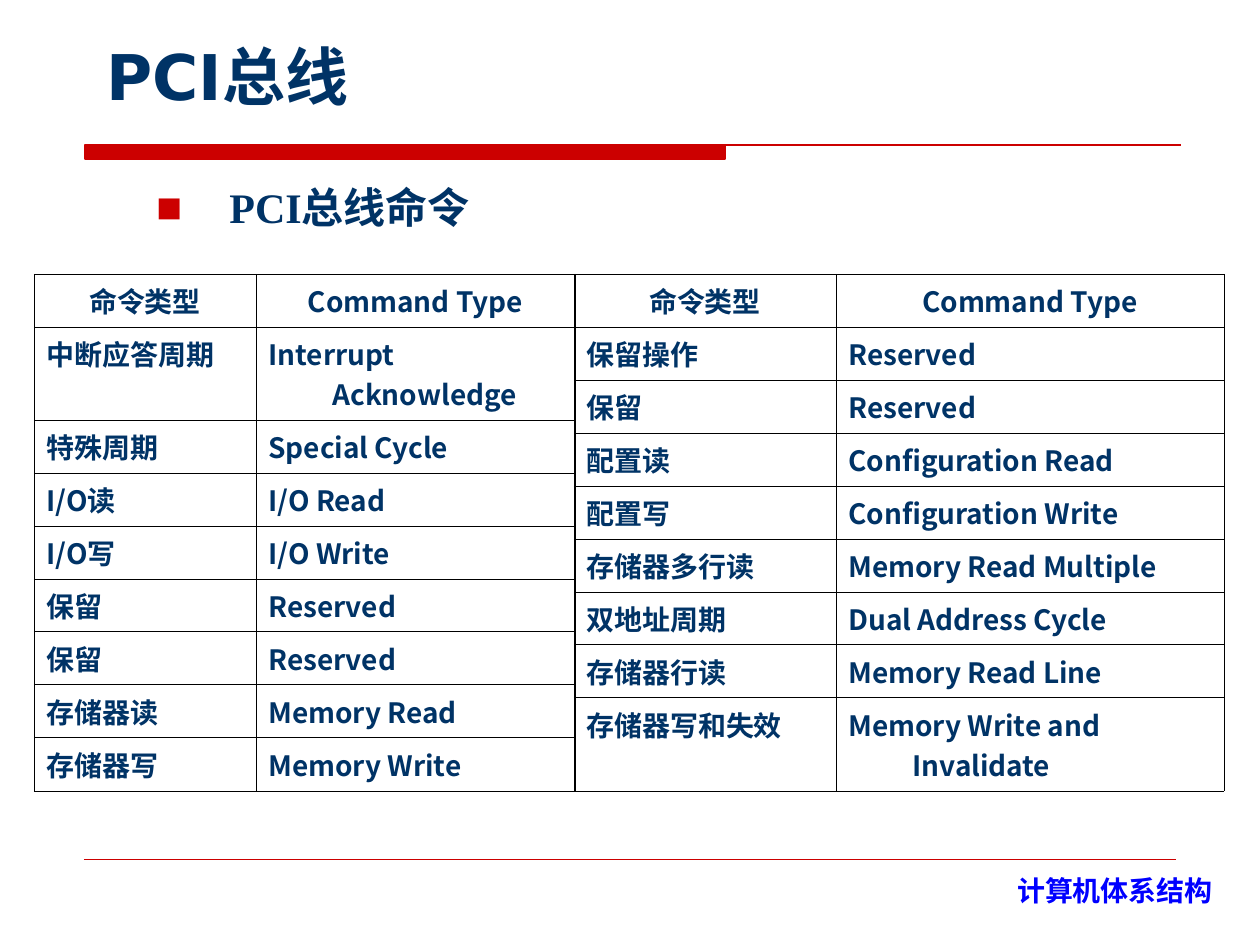
"""Build the slide on PCI bus commands, with two command tables side by side."""
from lxml.etree import SubElement as sub
from pptx import Presentation
from pptx.dml.color import RGBColor
from pptx.enum.shapes import MSO_CONNECTOR as CONNECTOR
from pptx.enum.text import MSO_ANCHOR as ANCHOR, PP_ALIGN as ALIGN
from pptx.oxml.ns import qn
from pptx.util import Pt

PX = 914400 / 126
NAVY, RED, BLUE, BLACK = "003366", "CC0000", "0000FF", "000000"
CJK, SANS, SERIF = "Noto Sans CJK SC", "DejaVu Sans", "Times New Roman"
color = RGBColor.from_string


def emu(*lengths):
    return [round(length * PX) for length in lengths]


def add_span(para, text, size, face, ink=NAVY):
    span = para.add_run()
    span.text = text
    span.font.size = Pt(size)
    span.font.bold = True
    span.font.name = face
    span.font.color.rgb = color(ink)
    sub(span.font._element, qn("a:ea"), typeface=CJK)


deck = Presentation()
deck.slide_width, deck.slide_height = emu(1260, 945)
page = deck.slides.add_slide(deck.slide_layouts[6])

builder = page.shapes.build_freeform(85, 145, scale=PX)
builder.add_line_segments([(725, 145), (725, 159), (85, 159)], close=True)
builder.move_to(85, 145)
builder.add_line_segments([(1181, 145)], close=False)
title_rule = builder.convert_to_shape()
title_rule.shadow.inherit = False
title_rule.fill.solid()
title_rule.fill.fore_color.rgb = color(RED)
title_rule.line.color.rgb = color(RED)
title_rule.line.width = Pt(0.75)

footer_rule = page.shapes.add_connector(CONNECTOR.STRAIGHT, *emu(84, 859, 1176, 859))
footer_rule.line.color.rgb = color(RED)
footer_rule.line.width = Pt(0.25)
sub(footer_rule._element.spPr, qn("a:effectLst"))

texts = [
    ((916, 868, 309, 54), ANCHOR.TOP, ALIGN.RIGHT, [("计算机体系结构", 16, CJK, BLUE)]),
    ((94, 176, 1091, 658), ANCHOR.TOP, ALIGN.LEFT,
     [("PCI总线", 24, SERIF), ("命令", 24, SANS)]),
    ((94, 26, 968, 93), ANCHOR.BOTTOM, ALIGN.LEFT, [("PCI总线", 36, SANS)]),
]
paras = []
for place, anchor, align, spans in texts:
    frame = page.shapes.add_textbox(*emu(*place)).text_frame
    frame.word_wrap = True
    frame.vertical_anchor = anchor
    frame.margin_top, frame.margin_bottom = emu(6, 6)
    para = frame.paragraphs[0]
    para.alignment = align
    for span in spans:
        add_span(para, *span)
    paras.append(para)

margin, indent = emu(123, -73)
props = paras[1]._p.get_or_add_pPr()
props.set("marL", str(margin))
props.set("indent", str(indent))
sub(sub(props, qn("a:buClr")), qn("a:srgbClr"), val=RED)
sub(props, qn("a:buSzPct"), val="65000")
sub(props, qn("a:buFont"), typeface=SANS)
sub(props, qn("a:buChar"), char="■")

header = ("命令类型", "Command Type")
tables = [
    (34, (222, 319), 1, [
        header,
        ("中断应答周期", "Interrupt Acknowledge"),
        ("特殊周期", "Special Cycle"),
        ("I/O读", "I/O Read"),
        ("I/O写", "I/O Write"),
        ("保留", "Reserved"),
        ("保留", "Reserved"),
        ("存储器读", "Memory Read"),
        ("存储器写", "Memory Write"),
    ]),
    (574, (262, 388), 8, [
        header,
        ("保留操作", "Reserved"),
        ("保留", "Reserved"),
        ("配置读", "Configuration Read"),
        ("配置写", "Configuration Write"),
        ("存储器多行读", "Memory Read Multiple"),
        ("双地址周期", "Dual Address Cycle"),
        ("存储器行读", "Memory Read Line"),
        ("存储器写和失效", "Memory Write and Invalidate"),
    ]),
]
hanging = emu(64)[0]
for left, widths, tall_row, commands in tables:
    heights = [93 if r == tall_row else 53 for r in range(len(commands))]
    place = emu(left, 274, sum(widths), sum(heights))
    table = page.shapes.add_table(len(heights), len(widths), *place).table
    table.first_row = table.horz_banding = False
    for column, width in zip(table.columns, emu(*widths)):
        column.width = width
    for row, height in zip(table.rows, emu(*heights)):
        row.height = height
    for r, command in enumerate(commands):
        for c, text in enumerate(command):
            cell = table.cell(r, c)
            para = cell.text_frame.paragraphs[0]
            para.alignment = ALIGN.CENTER if r == 0 else ALIGN.LEFT
            props = para._p.get_or_add_pPr()
            props.set("marL", str(hanging))
            props.set("indent", str(-hanging))
            add_span(para, text, 16, CJK)
            outer = {"L": c == 0, "R": c == len(widths) - 1,
                     "T": r == 0, "B": r == len(heights) - 1}
            for side, is_outer in outer.items():
                weight = Pt(0.06 if is_outer else 0.45)
                border = sub(cell._tc.get_or_add_tcPr(), qn(f"a:ln{side}"), w=str(weight))
                sub(sub(border, qn("a:solidFill")), qn("a:srgbClr"), val=BLACK)
            cell.fill.background()

deck.save("out.pptx")
